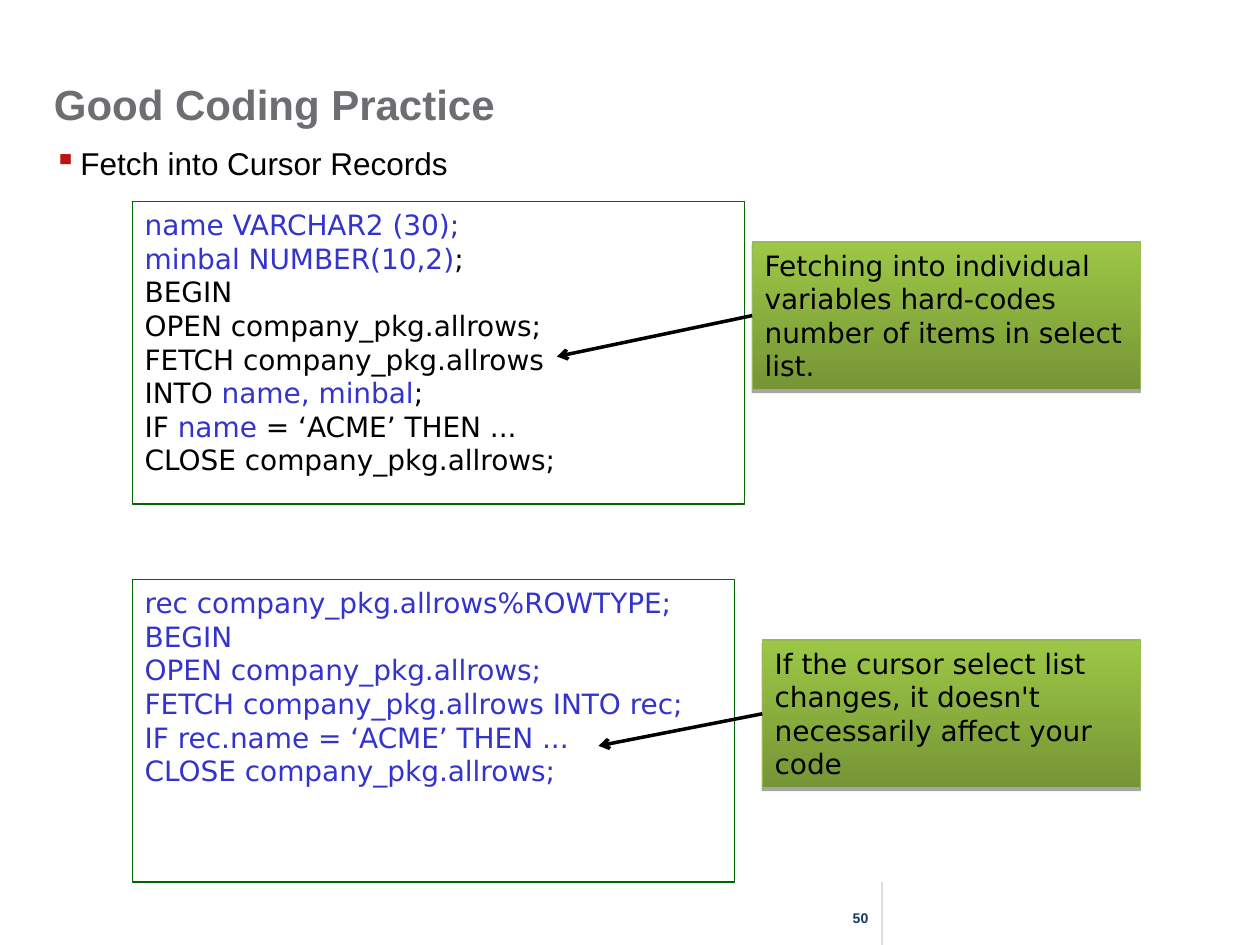
from lxml.etree import SubElement
from pptx import Presentation
from pptx.dml.color import RGBColor
from pptx.enum.shapes import MSO_CONNECTOR as Connector, MSO_SHAPE as Shape
from pptx.enum.text import MSO_ANCHOR as Anchor, PP_ALIGN as Align
from pptx.oxml.ns import qn
from pptx.util import Inches, Pt

COLORS = {
    "title": "6D6E71", "bullet": "BF1313", "black": "000000", "code": "3333CD",
    "code_border": "006600", "callout_dark": "769535", "callout_light": "9CC746",
    "callout_border": "98B954", "page": "17375E", "divider": "DDDDDD",
}
HEADING_FONT, CODE_FONT = "Arial", "DejaVu Sans"
LEFT_SIDE = 1

VARIABLES_CODE = [
    [("name VARCHAR2 (30);", "code")],
    [("minbal NUMBER(10,2)", "code"), (";", "black")],
    [("BEGIN", "black")],
    [("OPEN company_pkg.allrows;", "black")],
    [("FETCH company_pkg.allrows", "black")],
    [("INTO ", "black"), ("name, minbal", "code"), (";", "black")],
    [("IF ", "black"), ("name ", "code"), ("= ‘ACME’ THEN ...", "black")],
    [("CLOSE company_pkg.allrows;", "black")],
]
RECORD_CODE = [[(line, "code")] for line in (
    "rec company_pkg.allrows%ROWTYPE;",
    "BEGIN",
    "OPEN company_pkg.allrows;",
    "FETCH company_pkg.allrows INTO rec;",
    "IF rec.name = ‘ACME’ THEN ...",
    "CLOSE company_pkg.allrows;",
)]
VARIABLES_NOTE = ["Fetching into individual", "variables hard-codes",
                  "number of items in select", "list."]
RECORD_NOTE = ["If the cursor select list", "changes, it doesn't",
               "necessarily affect your code"]


def rgb(name):
    return RGBColor.from_string(COLORS[name])


def add_run(paragraph, text, color, size, font, bold=False):
    run = paragraph.add_run()
    run.text = text
    run.font.name, run.font.size, run.font.bold = font, Pt(size), bold
    run.font.color.rgb = rgb(color)


def add_label(slide, box, text, color, size, bold=False):
    """Add a one-line text box and return its text frame."""
    frame = slide.shapes.add_textbox(*map(Inches, box)).text_frame
    frame.word_wrap = True
    add_run(frame.paragraphs[0], text, color, size, HEADING_FONT, bold)
    return frame


def add_bullet(paragraph):
    props = paragraph._p.get_or_add_pPr()
    props.set("marL", str(Inches(0.21)))
    props.set("indent", str(Inches(-0.21)))
    SubElement(SubElement(props, qn("a:buClr")), qn("a:srgbClr"), val=COLORS["bullet"])
    SubElement(props, qn("a:buChar"), char="▪")
    paragraph.line_spacing = 1.14


def add_panel(slide, box, border, lines):
    """Add a bordered rectangle with one paragraph per line of runs."""
    panel = slide.shapes.add_shape(Shape.RECTANGLE, *map(Inches, box))
    panel.shadow.inherit = False
    panel.fill.background()
    panel.line.color.rgb = rgb(border)
    panel.line.width = Pt(0.75)
    frame = panel.text_frame
    frame.word_wrap = True
    frame.vertical_anchor = Anchor.TOP
    for index, runs in enumerate(lines):
        paragraph = frame.add_paragraph() if index else frame.paragraphs[0]
        paragraph.alignment = Align.LEFT
        for text, color in runs:
            add_run(paragraph, text, color, 16, CODE_FONT)
    return panel


def add_callout(slide, box, lines):
    callout = add_panel(slide, box, "callout_border", [[(line, "black")] for line in lines])
    callout.fill.gradient()
    callout.fill.gradient_angle = 90
    for stop, color in zip(callout.fill.gradient_stops, ("callout_dark", "callout_light")):
        stop.color.rgb = rgb(color)
    effects = callout._element.spPr.find(qn("a:effectLst"))
    shadow = SubElement(effects, qn("a:outerShdw"), blurRad="0", dist=str(Pt(1.8)),
                        dir="5400000", rotWithShape="0")
    shade = SubElement(shadow, qn("a:srgbClr"), val=COLORS["black"])
    SubElement(shade, qn("a:alpha"), val="35000")
    return callout


def add_line(slide, start, end, color, width):
    line = slide.shapes.add_connector(Connector.STRAIGHT, *map(Inches, start + end))
    line.line.color.rgb = rgb(color)
    line.line.width = Pt(width)
    SubElement(line._element.spPr, qn("a:effectLst"))
    return line


def add_pointer(slide, callout, target):
    """Draw an arrow from the left side of a callout to a point in the code."""
    pointer = add_line(slide, target, target, "black", 2)
    pointer.begin_connect(callout, LEFT_SIDE)
    SubElement(pointer.line._get_or_add_ln(), qn("a:tailEnd"), type="arrow")


def main():
    deck = Presentation()
    deck.slide_width, deck.slide_height = Inches(10), Inches(7.5)
    slide = deck.slides.add_slide(deck.slide_layouts[6])

    page = add_label(slide, (6.58, 7.17, 0.5, 0.3), "50", "page", 8, bold=True)
    page.paragraphs[0].alignment = Align.CENTER
    add_line(slide, (7, 7), (7, 7.5), "divider", 1.5)

    title = add_label(slide, (0.33, 0.6, 7.33, 0.45), "Good Coding Practice",
                      "title", 24, bold=True)
    title.vertical_anchor = Anchor.MIDDLE
    body = add_label(slide, (0.33, 1.05, 9.17, 6), "Fetch into Cursor Records", "black", 18)
    add_bullet(body.paragraphs[0])

    add_panel(slide, (1.05, 4.6, 4.78, 2.4), "code_border", RECORD_CODE)
    record_callout = add_callout(slide, (6.05, 5.08, 3, 1.17), RECORD_NOTE)
    add_panel(slide, (1.05, 1.6, 4.86, 2.4), "code_border", VARIABLES_CODE)
    variables_callout = add_callout(slide, (5.97, 1.92, 3.08, 1.17), VARIABLES_NOTE)

    add_pointer(slide, record_callout, (4.75, 5.92))
    add_pointer(slide, variables_callout, (4.42, 2.83))
    deck.save("out.pptx")


if __name__ == "__main__":
    main()
